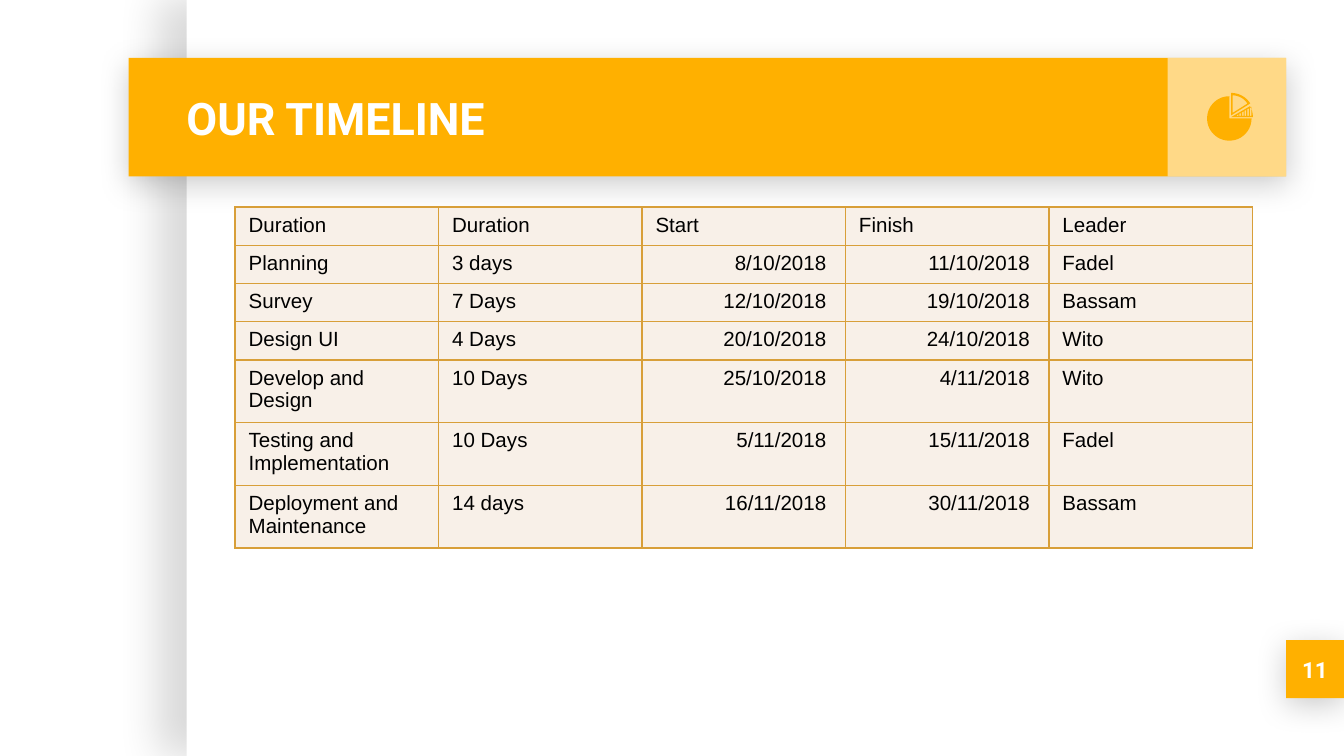
from dataclasses import dataclass
from math import cos, radians, sin

from lxml.etree import SubElement
from pptx import Presentation
from pptx.dml.color import RGBColor
from pptx.enum.shapes import MSO_SHAPE
from pptx.enum.text import MSO_ANCHOR, PP_ALIGN
from pptx.oxml.ns import qn
from pptx.util import Pt

TITLE = "OUR TIMELINE"
PAGE = "11"
ROWS = [
    ("Duration", "Duration", "Start", "Finish", "Leader"),
    ("Planning", "3 days", "8/10/2018", "11/10/2018", "Fadel"),
    ("Survey", "7 Days", "12/10/2018", "19/10/2018", "Bassam"),
    ("Design UI", "4 Days", "20/10/2018", "24/10/2018", "Wito"),
    ("Develop and Design", "10 Days", "25/10/2018", "4/11/2018", "Wito"),
    ("Testing and Implementation", "10 Days", "5/11/2018", "15/11/2018", "Fadel"),
    ("Deployment and Maintenance", "14 days", "16/11/2018", "30/11/2018", "Bassam"),
]
DATE_COLS = (2, 3)
TWO_LINE_FROM = 4


@dataclass(frozen=True)
class Theme:
    white: str = "FFFFFF"
    black: str = "000000"
    accent: str = "FFB000"
    border: str = "D89F39"
    cell: str = "F8F0E8"
    head_font: str = "Roboto"
    body_font: str = "Arial"
    title_size: int = 24
    page_size: int = 12
    cell_size: int = 11


T = Theme()
W, H = 720, 405
PANEL_X = 100
BAND = (69, 31, 620, 63.5)
BADGE = (689, 343, 31, 31)
TABLE_X, TABLE_Y, COL_W = 126, 111, 109
ROW_H, TALL_ROW_H = 19.45, 31.8
DATE_MARGIN = 10.25


def add_color(parent, color, alpha=None):
    clr = SubElement(parent, qn("a:srgbClr"), val=color)
    if alpha is not None:
        SubElement(clr, qn("a:alpha"), val=str(alpha * 1000))


def paint(sp, color):
    sp.shadow.inherit = False
    sp.fill.solid()
    sp.fill.fore_color.rgb = RGBColor.from_string(color)
    sp.line.fill.background()


def add_rect(s, box, color, shadow=None, alpha=None):
    """shadow is (alpha %, blur pt, distance pt, direction in degrees)."""
    sp = s.shapes.add_shape(MSO_SHAPE.RECTANGLE, *map(Pt, box))
    paint(sp, color)
    pr = sp._element.spPr
    if alpha is not None:
        fill = pr.find(qn("a:solidFill"))
        fill.clear()
        add_color(fill, color, alpha)
    if shadow:
        opacity, blur, dist, angle = shadow
        outer = SubElement(pr.find(qn("a:effectLst")), qn("a:outerShdw"),
                           blurRad=str(Pt(blur)), dist=str(Pt(dist)),
                           dir=str(angle * 60000), algn="bl", rotWithShape="0")
        add_color(outer, T.black, opacity)


def add_run(p, text, font, size, color, bold=False):
    r = p.add_run()
    r.text = text
    r.font.name, r.font.size, r.font.bold = font, Pt(size), bold
    r.font.color.rgb = RGBColor.from_string(color)


def add_heading(s, box, text, size, align):
    tf = s.shapes.add_textbox(*map(Pt, box)).text_frame
    tf.word_wrap = True
    tf.vertical_anchor = MSO_ANCHOR.MIDDLE
    tf.margin_left = tf.margin_right = tf.margin_top = tf.margin_bottom = Pt(7.2)
    p = tf.paragraphs[0]
    p.alignment = align
    add_run(p, text, T.head_font, size, T.white, bold=True)


def sector(cx, cy, radius, start, end, steps=24):
    """Outline of a pie slice; angles run clockwise from the right."""
    angles = [radians(start + (end - start) * i / steps) for i in range(steps + 1)]
    return [(cx, cy)] + [(cx + radius * cos(a), cy + radius * sin(a)) for a in angles]


def add_outline(s, contours, color):
    """Contours after the first cut holes."""
    points = [[(Pt(x), Pt(y)) for x, y in c] for c in contours]
    fb = s.shapes.build_freeform(*points[0][0])
    fb.add_line_segments(points[0][1:], close=True)
    for hole in points[1:]:
        fb.move_to(*hole[0])
        fb.add_line_segments(hole[1:], close=True)
    paint(fb.convert_to_shape(), color)


def add_pie_icon(s):
    base, slant = 62.1, 0.57
    stripes = []
    for i in range(6):
        x0 = 662.6 + 1.4 * i
        x1 = x0 + 0.8
        stripes.append([(x0, base), (x0, base - slant * (x0 - 662)),
                        (x1, base - slant * (x1 - 662)), (x1, base)])
    add_outline(s, [sector(658.6, 63.5, 11.9, 0, 270, 60)], T.accent)
    add_outline(s, [sector(659.6, 62.7, 11.6, -30, 0)] + stripes, T.accent)
    add_outline(s, [sector(659.6, 61.8, 12, -90, -32),
                    sector(660.3, 60.5, 9.4, -90, -32)], T.accent)


def style_cell(cell):
    pr = cell._tc.get_or_add_tcPr()
    for side in ("lnL", "lnR", "lnT", "lnB"):
        ln = SubElement(pr, qn("a:" + side), w=str(Pt(1)))
        add_color(SubElement(ln, qn("a:solidFill")), T.border)
    cell.fill.solid()
    cell.fill.fore_color.rgb = RGBColor.from_string(T.cell)


def add_timeline(s):
    heights = [TALL_ROW_H if i >= TWO_LINE_FROM else ROW_H for i in range(len(ROWS))]
    n_cols = len(ROWS[0])
    table = s.shapes.add_table(len(ROWS), n_cols, Pt(TABLE_X), Pt(TABLE_Y),
                               Pt(COL_W * n_cols), Pt(sum(heights))).table
    table.first_row = table.horz_banding = False
    for col in table.columns:
        col.width = Pt(COL_W)
    for i, values in enumerate(ROWS):
        table.rows[i].height = Pt(heights[i])
        for j, text in enumerate(values):
            cell = table.cell(i, j)
            style_cell(cell)
            p = cell.text_frame.paragraphs[0]
            if i and j in DATE_COLS:
                p.alignment = PP_ALIGN.RIGHT
                cell.margin_right = Pt(DATE_MARGIN)
            add_run(p, text, T.body_font, T.cell_size, T.black)


def main():
    prs = Presentation()
    prs.slide_width, prs.slide_height = Pt(W), Pt(H)
    s = prs.slides.add_slide(prs.slide_layouts[6])
    x, y, w, h = BAND
    drop = (20, 16.9, 3.8, 90)
    add_rect(s, (PANEL_X, 0, W - PANEL_X, H), T.white, shadow=(15, 22.5, 15, 180))
    add_rect(s, BADGE, T.accent, shadow=drop)
    add_rect(s, BAND, T.accent, shadow=drop)
    add_rect(s, (x + w - h, y, h, h), T.white, alpha=53)
    add_heading(s, (PANEL_X - 7.2, y, 531, h), TITLE, T.title_size, PP_ALIGN.LEFT)
    add_heading(s, BADGE, PAGE, T.page_size, PP_ALIGN.CENTER)
    add_pie_icon(s)
    add_timeline(s)
    prs.save("out.pptx")


if __name__ == "__main__":
    main()
